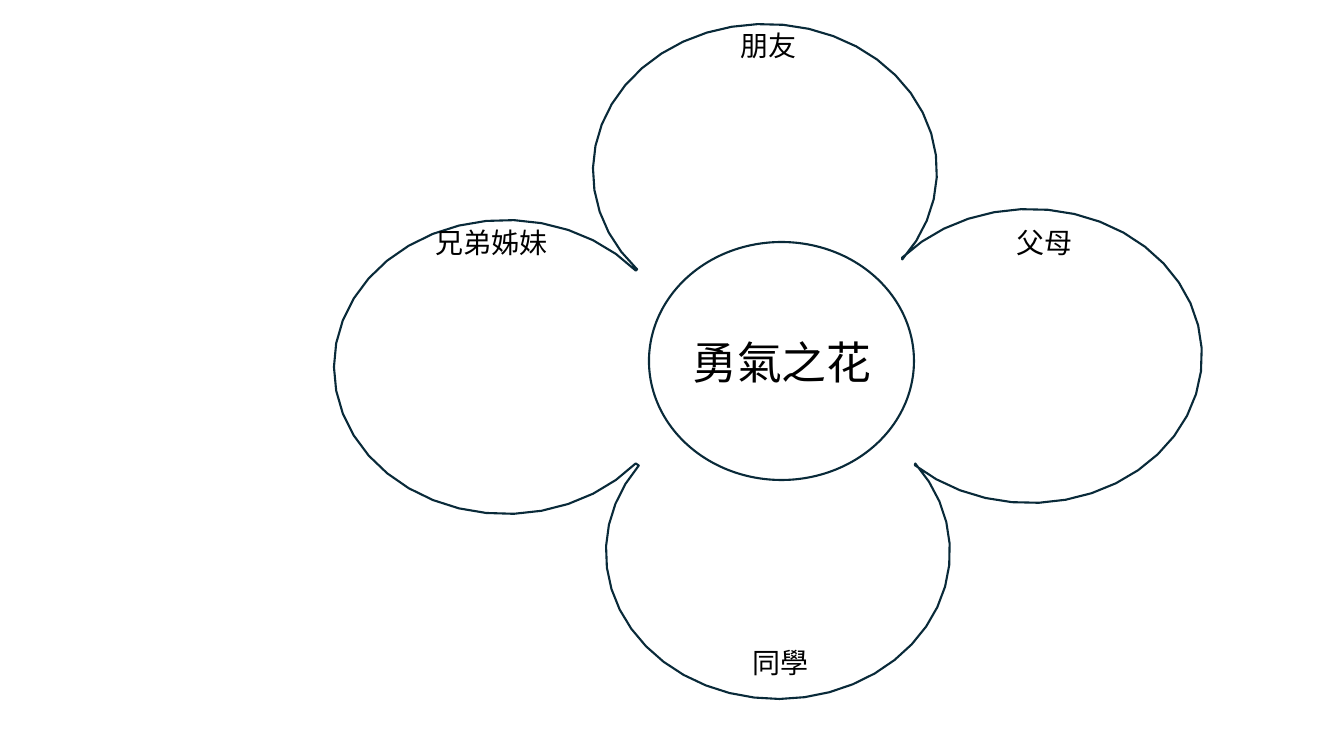
from math import cos, radians, sin

from pptx import Presentation
from pptx.dml.color import RGBColor
from pptx.enum.shapes import MSO_SHAPE
from pptx.enum.text import PP_ALIGN
from pptx.util import Pt

EMU_PER_PX = 914400 / 100.8
COLORS = {"outline": "092A39", "text": "000000"}
LABEL_FONT = "Times New Roman"
TITLE_FONT = "Noto Sans CJK SC"

FLOWER_BOX = (335, 24, 867, 675)
PETAL_RADII = (172, 147)
PETAL_STEPS = 30
# Petal centre within the flower, then start and end angle, clockwise
PETALS = [
    (430, 147, 138, 397),
    (695, 332, 222, 492),
    (443, 528, -37, 216),
    (171, 343, 41, 319),
]
# Label text and its box within the flower
LABELS = [
    ("朋友", 376, 0, 116),
    ("父母", 652, 197, 116),
    ("同學", 388, 617, 116),
    ("兄弟姊妹", 89, 197, 135),
]


def px(length):
    return round(length * EMU_PER_PX)


def style_outline(shape):
    shape.shadow.inherit = False
    shape.fill.background()
    shape.line.color.rgb = RGBColor.from_string(COLORS["outline"])
    shape.line.width = Pt(1.5)


def add_label(slide, text, box, size, font_name):
    text_frame = slide.shapes.add_textbox(*map(px, box)).text_frame
    text_frame.word_wrap = True
    text_frame.text = text
    paragraph = text_frame.paragraphs[0]
    paragraph.alignment = PP_ALIGN.CENTER
    font = paragraph.runs[0].font
    font.name = font_name
    font.size = Pt(size)
    font.color.rgb = RGBColor.from_string(COLORS["text"])


def petal_points(left, top, petal):
    center_x, center_y, start, end = petal
    radius_x, radius_y = PETAL_RADII
    angles = [radians(start + (end - start) * step / PETAL_STEPS)
              for step in range(PETAL_STEPS + 1)]
    return [(px(left + center_x + radius_x * cos(angle)),
             px(top + center_y + radius_y * sin(angle)))
            for angle in angles]


def add_flower(slide, box):
    left, top, width, height = box

    # Four petals in one closed outline
    points = [point for petal in PETALS
              for point in petal_points(left, top, petal)]
    builder = slide.shapes.build_freeform(*points[0])
    builder.add_line_segments(points[1:], close=True)
    style_outline(builder.convert_to_shape())

    # Flower centre
    center = slide.shapes.add_shape(
        MSO_SHAPE.OVAL, px(left + 314), px(top + 218), px(265), px(238))
    style_outline(center)

    # Petal labels and title
    for text, label_left, label_top, label_width in LABELS:
        label_box = (left + label_left, top + label_top, label_width, 44)
        add_label(slide, text, label_box, 20, LABEL_FONT)
    add_label(slide, "勇氣之花", (left + 345, top + 306, 204, 65), 32, TITLE_FONT)


def main():
    presentation = Presentation()
    presentation.slide_width = px(1344)
    presentation.slide_height = px(756)
    slide = presentation.slides.add_slide(presentation.slide_layouts[6])
    add_flower(slide, FLOWER_BOX)
    presentation.save("out.pptx")


if __name__ == "__main__":
    main()
